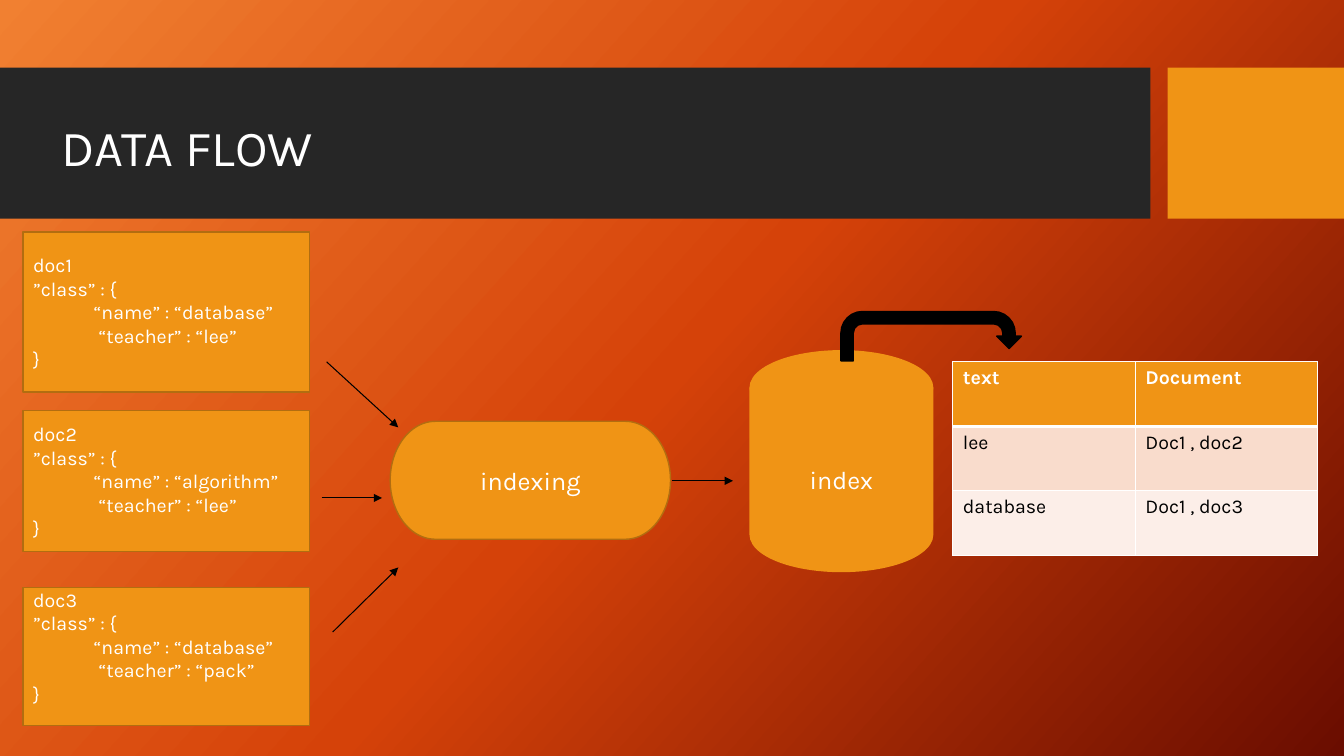
from copy import deepcopy

from lxml import etree
from pptx import Presentation
from pptx.dml.color import RGBColor
from pptx.enum.shapes import MSO_CONNECTOR, MSO_SHAPE
from pptx.enum.text import MSO_ANCHOR, PP_ALIGN
from pptx.oxml.ns import qn
from pptx.util import Inches, Pt

RECT = MSO_SHAPE.RECTANGLE
TERMINATOR = MSO_SHAPE.FLOWCHART_TERMINATOR
DISK = MSO_SHAPE.FLOWCHART_MAGNETIC_DISK
UTURN = MSO_SHAPE.U_TURN_ARROW
STRAIGHT = MSO_CONNECTOR.STRAIGHT
TOP, MIDDLE = MSO_ANCHOR.TOP, MSO_ANCHOR.MIDDLE
LEFT, CENTER = PP_ALIGN.LEFT, PP_ALIGN.CENTER

FONT = "Karla"
ORANGE, BROWN, CHARCOAL = "F09415", "B26D10", "262626"
WHITE, BLACK = "FFFFFF", "000000"


def rgb(color):
    return RGBColor.from_string(color)


def set_background(s, stops, angle):
    fill = s.background.fill
    fill.gradient()
    gs_list = s.element.find(".//" + qn("a:gsLst"))
    gs_list.append(deepcopy(gs_list[-1]))
    for stop, (position, color) in zip(fill.gradient_stops, stops):
        stop.position = position
        stop.color.rgb = rgb(color)
    fill.gradient_angle = 360 - angle


def write_text(tf, lines, size, color=WHITE, align=LEFT, bold=False):
    tf.word_wrap = True
    tf.text = "\n".join(lines)
    for p in tf.paragraphs:
        p.alignment = align
        for r in p.runs:
            r.font.name = FONT
            r.font.size = Pt(size)
            r.font.bold = bold
            r.font.color.rgb = rgb(color)


def add_block(s, kind, box, fill, line=None):
    sp = s.shapes.add_shape(kind, *map(Inches, box))
    sp.shadow.inherit = False
    sp.fill.solid()
    sp.fill.fore_color.rgb = rgb(fill)
    if line:
        sp.line.color.rgb = rgb(line)
        sp.line.width = Pt(1)
    else:
        sp.line.fill.background()
    return sp


def add_title(s, text):
    sp = s.shapes.add_textbox(Inches(0.51), Inches(1.1), Inches(5.96), Inches(0.71))
    write_text(sp.text_frame, [text], 36)


def add_stage(s, kind, box, text, line):
    sp = add_block(s, kind, box, ORANGE, line)
    sp.text_frame.vertical_anchor = MIDDLE
    write_text(sp.text_frame, [text], 18, align=CENTER)


def add_document(s, top, height, doc, name, teacher, anchor):
    sp = add_block(s, RECT, (0.23, top, 2.84, height), ORANGE, BROWN)
    tf = sp.text_frame
    tf.vertical_anchor = anchor
    if anchor == TOP:
        tf.margin_top = 0
    fields = [f"“name” : “{name}”", f"“teacher” : “{teacher}”"]
    write_text(tf, [doc, "”class” : {", *fields, "}"], 14)
    for p, indent in zip(tf.paragraphs[2:4], (0.6, 0.65)):
        p._p.get_or_add_pPr().set("marL", str(Inches(indent)))


def add_arrow(s, start, end):
    cx = s.shapes.add_connector(STRAIGHT, *map(Inches, start + end))
    cx.line.color.rgb = rgb(BLACK)
    cx.line.width = Pt(0.75)
    ln = cx.line._get_or_add_ln()
    etree.SubElement(ln, qn("a:tailEnd"), type="triangle")
    etree.SubElement(cx._element.spPr, qn("a:effectLst"))


def add_border(cell, side, width):
    tc_pr = cell._tc.get_or_add_tcPr()
    ln = etree.SubElement(tc_pr, qn("a:ln" + side), w=str(Pt(width)))
    fill = etree.SubElement(ln, qn("a:solidFill"))
    etree.SubElement(fill, qn("a:srgbClr"), val=WHITE)


def add_index_table(s, rows, fills):
    box = map(Inches, (9.45, 3.59, 3.62, 1.92))
    table = s.shapes.add_table(len(rows), len(rows[0]), *box).table
    for i, (values, fill) in enumerate(zip(rows, fills)):
        table.rows[i].height = Inches(0.64)
        header = i == 0
        widths = {"L": 1, "R": 1, "T": 3 if i == 1 else 1, "B": 3 if header else 1}
        for j, value in enumerate(values):
            cell = table.cell(i, j)
            for side, width in widths.items():
                add_border(cell, side, width)
            cell.fill.solid()
            cell.fill.fore_color.rgb = rgb(fill)
            write_text(cell.text_frame, [value], 14, WHITE if header else BLACK, bold=header)


def main():
    prs = Presentation()
    prs.slide_width, prs.slide_height = Inches(13.33), Inches(7.5)
    s = prs.slides.add_slide(prs.slide_layouts[6])
    set_background(s, [(0, "F18031"), (0.5, "D54209"), (1, "6A0D00")], 42)

    add_block(s, RECT, (0, 0.67, 11.41, 1.5), CHARCOAL)
    add_block(s, RECT, (11.58, 0.67, 1.75, 1.5), ORANGE)
    add_title(s, "DATA FLOW")

    add_document(s, 2.3, 1.59, "doc1", "database", "lee", MIDDLE)
    add_document(s, 4.07, 1.4, "doc2", "algorithm", "lee", MIDDLE)
    add_document(s, 5.83, 1.37, "doc3", "database", "pack", TOP)
    add_stage(s, DISK, (7.44, 3.48, 1.81, 2.19), "index", ORANGE)
    add_stage(s, TERMINATOR, (3.87, 4.18, 2.78, 1.17), "indexing", BROWN)

    for start, end in [
        ((3.3, 6.27), (3.95, 5.63)),
        ((3.24, 3.59), (3.95, 4.24)),
        ((3.19, 4.94), (3.79, 4.94)),
        ((6.67, 4.77), (7.27, 4.77)),
    ]:
        add_arrow(s, start, end)
    add_block(s, UTURN, (8.34, 3.09, 1.79, 0.49), BLACK, BLACK)

    rows = [("text", "Document"), ("lee", "Doc1 , doc2"), ("database", "Doc1 , doc3")]
    add_index_table(s, rows, (ORANGE, "F9DCCC", "FCEEE8"))
    prs.save("out.pptx")


if __name__ == "__main__":
    main()
